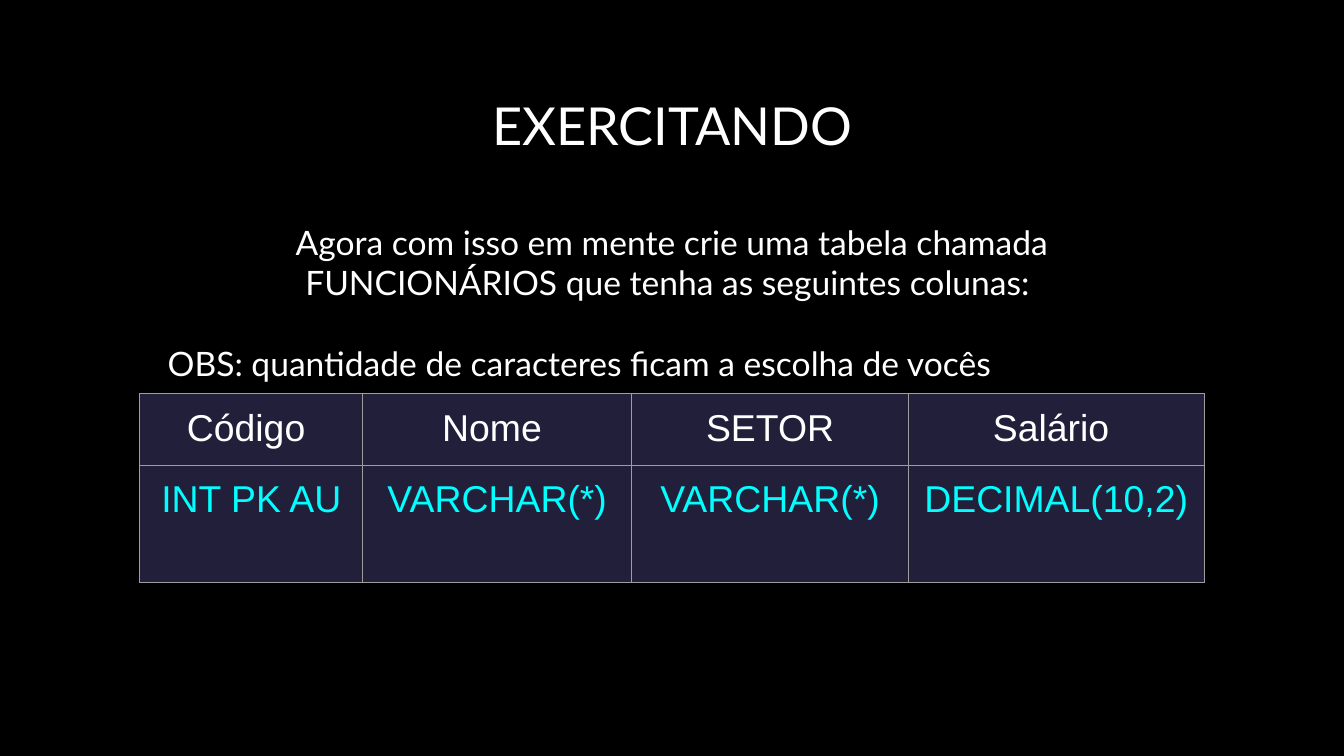
from lxml.etree import SubElement
from pptx import Presentation
from pptx.dml.color import RGBColor
from pptx.enum.text import MSO_ANCHOR, MSO_AUTO_SIZE, PP_ALIGN
from pptx.oxml.ns import qn
from pptx.util import Inches, Pt

BLACK, WHITE, CYAN = "000000", "FFFFFF", "00FFFF"
CELL_FILL, BORDER = "221F3B", "9E9E9E"
COLUMN_WIDTHS = [1.66, 2, 2.06, 2.2]
ROW_HEIGHTS = [0.42, 0.87]  # the first row grows to fit its text
ROW_COLORS = [WHITE, CYAN]
EMPLOYEE_COLUMNS = [
    ["Código ", "Nome ", "SETOR", "Salário "],
    ["INT PK AU", "VARCHAR(*)", "VARCHAR(*)", "DECIMAL(10,2)"],
]


def color(hex_string):
    return RGBColor.from_string(hex_string)


def write(paragraph, text, *, size, font="Lato", fill=WHITE,
          align=PP_ALIGN.CENTER, before=0):
    paragraph.alignment = align
    paragraph.space_before = Pt(before)
    run = paragraph.add_run()
    run.text = text
    run.font.name = font
    run.font.size = Pt(size)
    run.font.color.rgb = color(fill)


def set_margins(holder):
    for side in ("left", "top", "right", "bottom"):
        setattr(holder, f"margin_{side}", Inches(0.1))


def add_title(slide, text):
    title = slide.shapes.title
    title.left, title.top = Inches(1.15), Inches(0.43)
    title.width, title.height = Inches(7.7), Inches(1)
    frame = title.text_frame
    set_margins(frame)
    frame.auto_size = MSO_AUTO_SIZE.NONE
    frame.vertical_anchor = MSO_ANCHOR.MIDDLE
    write(frame.paragraphs[0], text, size=28)


def add_instructions(slide, task, note):
    box = slide.shapes.add_textbox(Inches(1.15), Inches(1.55), Inches(7.7), Inches(1.41))
    frame = box.text_frame
    frame.word_wrap = True
    frame.auto_size = MSO_AUTO_SIZE.SHAPE_TO_FIT_TEXT
    set_margins(frame)
    write(frame.paragraphs[0], task, size=18)
    # One line of space separates the note from the task
    write(frame.add_paragraph(), note, size=18, align=PP_ALIGN.LEFT, before=21.6)


def add_borders(cell):
    properties = cell._tc.get_or_add_tcPr()
    for side in ("lnL", "lnR", "lnT", "lnB"):
        line = SubElement(properties, qn(f"a:{side}"), w=str(Pt(0.75)))
        fill = SubElement(line, qn("a:solidFill"))
        SubElement(fill, qn("a:srgbClr"), val=BORDER)


def add_column_table(slide):
    frame = slide.shapes.add_table(
        len(ROW_HEIGHTS), len(COLUMN_WIDTHS), Inches(1.04), Inches(2.93),
        Inches(sum(COLUMN_WIDTHS)), Inches(sum(ROW_HEIGHTS)))
    table = frame.table
    for column, width in zip(table.columns, COLUMN_WIDTHS):
        column.width = Inches(width)
    for row, height, texts, text_color in zip(
            table.rows, ROW_HEIGHTS, EMPLOYEE_COLUMNS, ROW_COLORS):
        row.height = Inches(height)
        for cell, text in zip(row.cells, texts):
            set_margins(cell)
            add_borders(cell)
            cell.fill.solid()
            cell.fill.fore_color.rgb = color(CELL_FILL)
            write(cell.text_frame.paragraphs[0], text, size=20,
                  font="Arial", fill=text_color)


def main():
    presentation = Presentation()
    # Widescreen page, 16:9
    presentation.slide_width = Inches(10)
    presentation.slide_height = Inches(10 * 9 / 16)
    slide = presentation.slides.add_slide(presentation.slide_layouts[5])
    slide.background.fill.solid()
    slide.background.fill.fore_color.rgb = color(BLACK)

    # Heading and exercise text
    add_title(slide, "EXERCITANDO")
    add_instructions(
        slide,
        "Agora com isso em mente crie uma tabela chamada FUNCIONÁRIOS "
        "que tenha as seguintes colunas: ",
        "OBS: quantidade de caracteres ficam a escolha de vocês")

    # Columns of the table to create, with their types
    add_column_table(slide)
    presentation.save("out.pptx")


if __name__ == "__main__":
    main()
